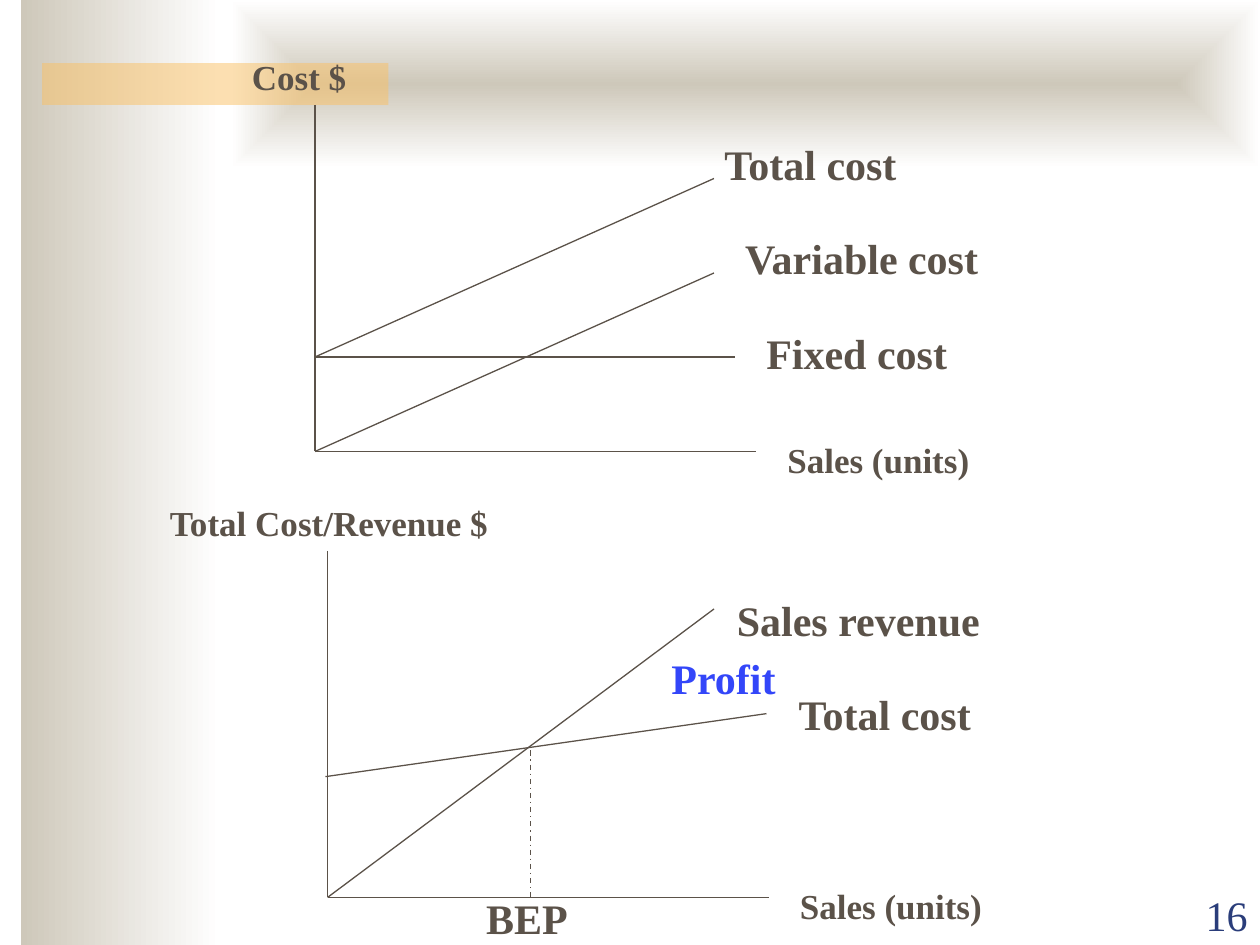
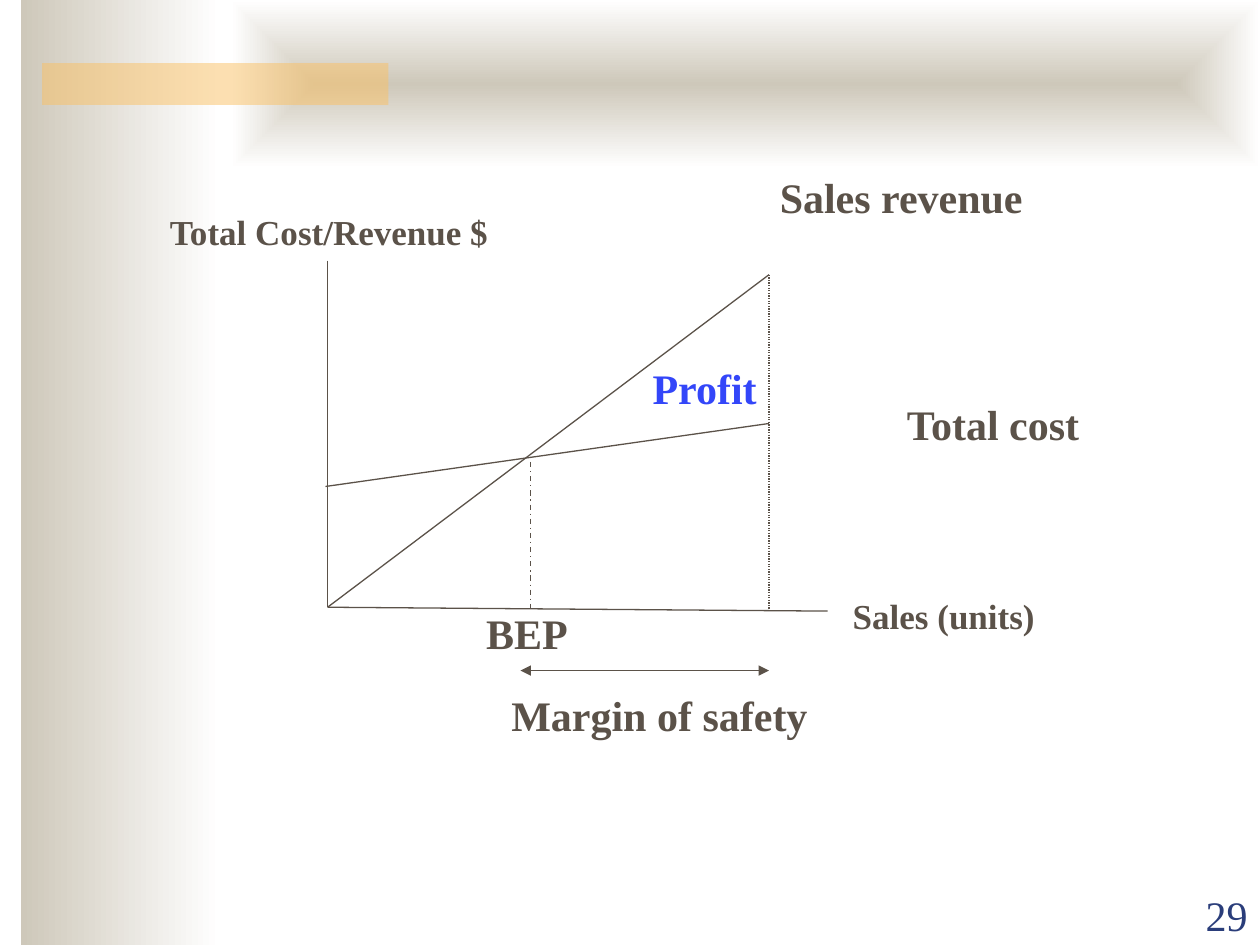
from lxml import etree
from pptx import Presentation
from pptx.dml.color import RGBColor
from pptx.enum.dml import MSO_LINE
from pptx.enum.shapes import MSO_CONNECTOR, MSO_SHAPE
from pptx.enum.text import MSO_ANCHOR, MSO_AUTO_SIZE, PP_ALIGN
from pptx.oxml.ns import qn
from pptx.util import Pt

STRAIGHT = MSO_CONNECTOR.STRAIGHT
RECTANGLE = MSO_SHAPE.RECTANGLE
DASH_DOT = MSO_LINE.DASH_DOT
DOTTED = MSO_LINE.ROUND_DOT
LEFT, RIGHT = PP_ALIGN.LEFT, PP_ALIGN.RIGHT
TOP, BOTTOM = MSO_ANCHOR.TOP, MSO_ANCHOR.BOTTOM
FIT_SHAPE, NO_FIT = MSO_AUTO_SIZE.SHAPE_TO_FIT_TEXT, MSO_AUTO_SIZE.NONE

FONT = "Times New Roman"
COLORS = {
    "ink": "5B5249",
    "profit": "3346F9",
    "number": "2A3D7A",
    "sand": "CEC8BA",
    "white": "FFFFFF",
    "amber": "FAC164",
}
# Each width leaves a little slack so that the label stays on one line
LABEL_WIDTHS = {
    "Cost $": 70,
    "Total cost": 117,
    "Variable cost": 152,
    "Fixed cost": 120,
    "Sales (units)": 121,
    "Sales revenue": 156,
    "Total Cost/Revenue $": 200,
    "Profit": 76,
    "BEP": 63,
    "Margin of safety": 186,
    "16": 72,
    "29": 72,
}


def add_text(slide, text, left, top, size=24, color="ink", bold=True,
             align=LEFT, anchor=TOP, wrap=False):
    """Add a one-line text box with its top left corner at left, top."""
    height = 36 if size == 24 else 31.7
    shape = slide.shapes.add_textbox(Pt(left), Pt(top), Pt(LABEL_WIDTHS[text]), Pt(height))
    frame = shape.text_frame
    frame.word_wrap = wrap
    frame.auto_size = NO_FIT if wrap else FIT_SHAPE
    frame.vertical_anchor = anchor
    paragraph = frame.paragraphs[0]
    paragraph.alignment = align
    run = paragraph.add_run()
    run.text = text
    run.font.name = FONT
    run.font.size = Pt(size)
    run.font.bold = bold
    run.font.color.rgb = RGBColor.from_string(COLORS[color])


def add_line(slide, start, end, dash=None, arrow=False):
    """Draw a thin line from start to end, dashed or arrow-tipped on request."""
    line = slide.shapes.add_connector(STRAIGHT, *(Pt(value) for value in (*start, *end)))
    line.line.width = Pt(0.74)
    line.line.color.rgb = RGBColor.from_string(COLORS["ink"])
    if dash:
        line.line.dash_style = dash
    properties = line._element.spPr
    if arrow:
        etree.SubElement(properties.find(qn("a:ln")), qn("a:tailEnd"), type="triangle")
    etree.SubElement(properties, qn("a:effectLst"))


presentation = Presentation()
presentation.slide_width = Pt(720)
presentation.slide_height = Pt(540)
blank_layout = presentation.slide_layouts[6]

# Side band, top band, amber bar and page number on each slide
for number in ("16", "29"):
    slide = presentation.slides.add_slide(blank_layout)
    bands = []
    for box in ((12, 0, 114, 540), (132, 0, 588, 96), (24, 36, 198, 24)):
        band = slide.shapes.add_shape(RECTANGLE, *(Pt(value) for value in box))
        band.shadow.inherit = False
        band.line.fill.background()
        bands.append(band)
    side_band, top_band, amber_bar = bands

    for band in (side_band, top_band):
        band.fill.gradient()
        band.fill.gradient_angle = 0
        for stop, color in zip(band.fill.gradient_stops, ("sand", "white")):
            stop.color.rgb = RGBColor.from_string(COLORS[color])
    linear = top_band._element.spPr.find(".//" + qn("a:lin"))
    gradient = linear.getparent()
    gradient.remove(linear)
    center = etree.SubElement(gradient, qn("a:path"), {"path": "rect"})
    etree.SubElement(center, qn("a:fillToRect"),
                     {side: "50000" for side in ("l", "t", "r", "b")})

    amber_bar.fill.solid()
    amber_bar.fill.fore_color.rgb = RGBColor.from_string(COLORS["amber"])
    amber = amber_bar._element.spPr.find(".//" + qn("a:srgbClr"))
    etree.SubElement(amber, qn("a:alpha"), val="50000")

    add_text(slide, number, 648, 504.7, color="number", bold=False,
             align=RIGHT, anchor=BOTTOM, wrap=True)

cost_slide, margin_slide = presentation.slides

# Cost behaviour diagram
for start, end in (
    ((180, 60), (180, 258)),
    ((180, 258), (432, 258)),
    ((180, 204), (420, 204)),
    ((180, 204), (408, 102)),
    ((180, 258), (408, 156)),
):
    add_line(cost_slide, start, end)
for text, left, top, size in (
    ("Total cost", 406.8, 75.6, 24),
    ("Variable cost", 418.8, 129.6, 24),
    ("Fixed cost", 430.8, 183.6, 24),
    ("Cost $", 136.8, 28.1, 20),
    ("Sales (units)", 442.8, 247, 20),
):
    add_text(cost_slide, text, left, top, size)

# Break-even diagrams: heights are measured from the base of the vertical axis
AXIS_X = 187.2
BREAK_EVEN_X = 303.2
SALES_X = 439.4
break_even_diagrams = (
    dict(slide=cost_slide, base=512.8, axis_end=(SALES_X, 0), revenue_end=(408, -164.8),
         cost_end_x=438, bep_top=-84, revenue=(414, -176.4), cost_left=449.3,
         profit_left=376.6, sales_left=450, bep_label=-6.5),
    dict(slide=margin_slide, base=347, axis_end=(473, 2.2), revenue_end=(SALES_X, -190),
         cost_end_x=SALES_X, bep_top=-83, revenue=(438.5, -252.7), cost_left=511.2,
         profit_left=365.8, sales_left=480.2, bep_label=-3.6),
)
for diagram in break_even_diagrams:
    slide, base = diagram["slide"], diagram["base"]
    axis_end_x, axis_end_y = diagram["axis_end"]
    revenue_x, revenue_y = diagram["revenue_end"]
    label_x, label_y = diagram["revenue"]
    origin = (AXIS_X, base)
    add_line(slide, (AXIS_X, base - 198), origin)
    add_line(slide, origin, (axis_end_x, base + axis_end_y))
    add_line(slide, origin, (revenue_x, base + revenue_y))
    add_line(slide, (186, base - 69), (diagram["cost_end_x"], base - 105))
    add_line(slide, (BREAK_EVEN_X, base + diagram["bep_top"]),
             (BREAK_EVEN_X, base + 1.8), dash=DASH_DOT)
    add_text(slide, "Sales revenue", label_x, base + label_y)
    add_text(slide, "Total Cost/Revenue $", 90, base - 230, size=20)
    add_text(slide, "Sales (units)", diagram["sales_left"], base - 10.8, size=20)
    add_text(slide, "Total cost", diagram["cost_left"], base - 122.7)
    add_text(slide, "Profit", diagram["profit_left"], base - 143.3, color="profit")
    add_text(slide, "BEP", 270.7, base + diagram["bep_label"])

# Margin of safety between break-even and actual sales
add_line(margin_slide, (SALES_X, 157), (SALES_X, 349.2), dash=DOTTED)
add_text(margin_slide, "Margin of safety", 285.1, 390.7)
for tip_x in (297.4, SALES_X):
    add_line(margin_slide, (348.5, 383.2), (tip_x, 383.2), arrow=True)

presentation.save("out.pptx")
